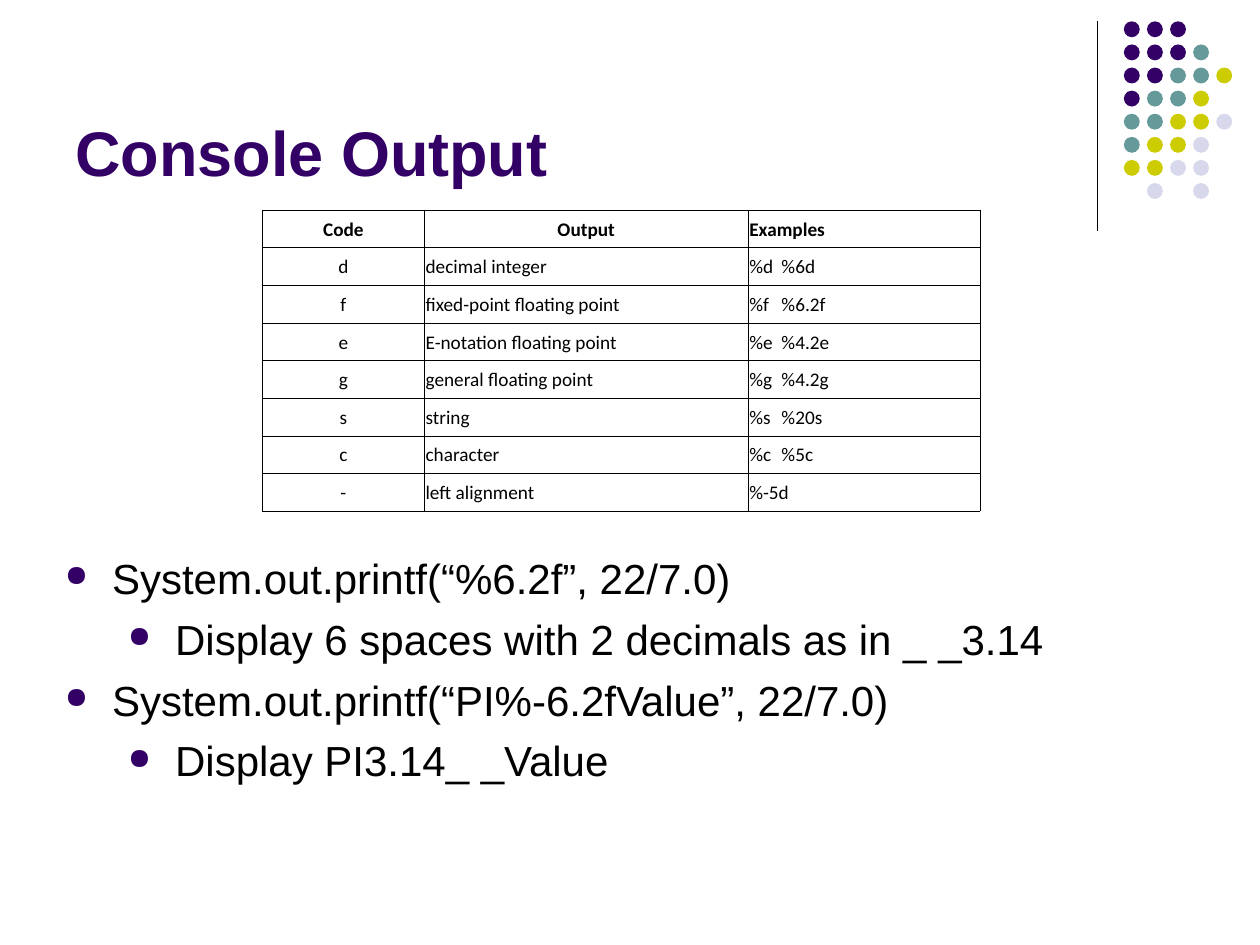
"""Build the Console Output slide with its format code table."""
from lxml import etree
from pptx import Presentation
from pptx.dml.color import RGBColor
from pptx.enum import shapes, text
from pptx.oxml import ns
from pptx.util import Pt

PURPLE, BLACK = "330066", "000000"
TITLE = "Console Output"
ROWS = [
    ("Code", "Output", "Examples"),
    ("d", "decimal integer", "%d\t%6d"),
    ("f", "fixed-point floating point", "%f\t%6.2f"),
    ("e", "E-notation floating point", "%e\t%4.2e"),
    ("g", "general floating point", "%g\t%4.2g"),
    ("s", "string", "%s\t%20s"),
    ("c", "character", "%c\t%5c"),
    ("-", "left alignment", "%-5d"),
]
COLUMN_WIDTHS = (92.5, 185, 132.5)
ROW_HEIGHT = 21.53
EXAMPLE_TAB = 18.4
BULLETS = [
    (0, "System.out.printf(“%6.2f”, 22/7.0)"),
    (1, "Display 6 spaces with 2 decimals as in _ _3.14"),
    (0, "System.out.printf(“PI%-6.2fValue”, 22/7.0)"),
    (1, "Display PI3.14_ _Value"),
]
DOT_COLORS = {"P": PURPLE, "T": "669999", "Y": "CCCC00", "L": "D8D8EC"}
DOT_ROWS = ("PPP", "PPPT", "PPTTY", "PTTY", "TTYYL", "TYYL", "YYLL", " L L")
DOT_LEFT, DOT_TOP, DOT_SIZE, DOT_PITCH = 642.2, 12.2, 9.1, 13.2


def color(value):
    return RGBColor.from_string(value)


def add_element(parent, tag, **attributes):
    return etree.SubElement(parent, ns.qn(tag), {k: str(v) for k, v in attributes.items()})


def set_font(para, name, size, fill, bold=False):
    font = para.font
    font.name, font.size, font.bold = name, Pt(size), bold
    font.color.rgb = color(fill)


def add_text_box(page, left, top, width, height, anchor):
    frame = page.shapes.add_textbox(Pt(left), Pt(top), Pt(width), Pt(height)).text_frame
    frame.word_wrap = True
    frame.vertical_anchor = anchor
    return frame


def add_dots(page):
    group = page.shapes.add_group_shape()
    for row, pattern in enumerate(DOT_ROWS):
        for column, key in enumerate(pattern):
            if key == " ":
                continue
            dot = group.shapes.add_shape(
                shapes.MSO_SHAPE.OVAL, Pt(DOT_LEFT + column * DOT_PITCH),
                Pt(DOT_TOP + row * DOT_PITCH), Pt(DOT_SIZE), Pt(DOT_SIZE))
            dot.shadow.inherit = False
            dot.fill.solid()
            dot.fill.fore_color.rgb = color(DOT_COLORS[key])
            dot.line.fill.background()


def add_rule(page):
    rule = page.shapes.add_connector(
        shapes.MSO_CONNECTOR.STRAIGHT, Pt(627), Pt(12), Pt(627), Pt(132))
    rule.line.color.rgb = color(BLACK)
    rule.line.width = Pt(0.75)
    add_element(rule._element.spPr, "a:effectLst")


def add_title(page):
    para = add_text_box(page, 36, 9.4, 594, 102, text.MSO_ANCHOR.BOTTOM).paragraphs[0]
    para.text = TITLE
    set_font(para, "Arial", 36, PURPLE, True)


def fill_cell(cell, words, heading, centered):
    cell.margin_left = cell.margin_right = Pt(0.7)
    cell.margin_top = cell.margin_bottom = Pt(3.6)
    cell.vertical_anchor = text.MSO_ANCHOR.BOTTOM
    properties = cell._tc.get_or_add_tcPr()
    for side in ("a:lnL", "a:lnR", "a:lnT", "a:lnB"):
        border = add_element(properties, side, w=Pt(0.23))
        add_element(add_element(border, "a:solidFill"), "a:srgbClr", val=BLACK)
    cell.fill.background()
    para = cell.text_frame.paragraphs[0]
    para.text = words
    para.alignment = text.PP_ALIGN.CENTER if centered else text.PP_ALIGN.LEFT
    if "\t" in words:
        tabs = add_element(para._p.get_or_add_pPr(), "a:tabLst")
        add_element(tabs, "a:tab", pos=Pt(EXAMPLE_TAB), algn="l")
    set_font(para, "Calibri", 11, BLACK, heading)


def add_code_table(page):
    table = page.shapes.add_table(
        len(ROWS), len(COLUMN_WIDTHS), Pt(150), Pt(120),
        Pt(sum(COLUMN_WIDTHS)), Pt(ROW_HEIGHT * len(ROWS))).table
    table.horz_banding = False
    for column, width in zip(table.columns, COLUMN_WIDTHS):
        column.width = Pt(width)
    for r, row in enumerate(ROWS):
        table.rows[r].height = Pt(ROW_HEIGHT)
        for c, words in enumerate(row):
            centered = c == 0 or (r == 0 and c == 1)
            fill_cell(table.cell(r, c), words, r == 0, centered)


def add_bullets(page):
    frame = add_text_box(page, 30, 312, 648, 156, text.MSO_ANCHOR.TOP)
    for index, (level, words) in enumerate(BULLETS):
        para = frame.add_paragraph() if index else frame.paragraphs[0]
        para.text = words
        para.level = level
        if index:
            para.space_before = Pt(6)
        properties = para._p.get_or_add_pPr()
        properties.set("marL", str(Pt(27 + 36 * level)))
        properties.set("indent", str(Pt(-27)))
        add_element(add_element(properties, "a:buClr"), "a:srgbClr", val=PURPLE)
        add_element(properties, "a:buSzPct", val=70000)
        add_element(properties, "a:buChar", char="●")
        set_font(para, "Arial", 24, BLACK)


def main():
    deck = Presentation()
    deck.slide_width, deck.slide_height = Pt(720), Pt(540)
    page = deck.slides.add_slide(deck.slide_layouts[6])
    add_rule(page)
    add_dots(page)
    add_title(page)
    add_code_table(page)
    add_bullets(page)
    deck.save("out.pptx")


if __name__ == "__main__":
    main()
